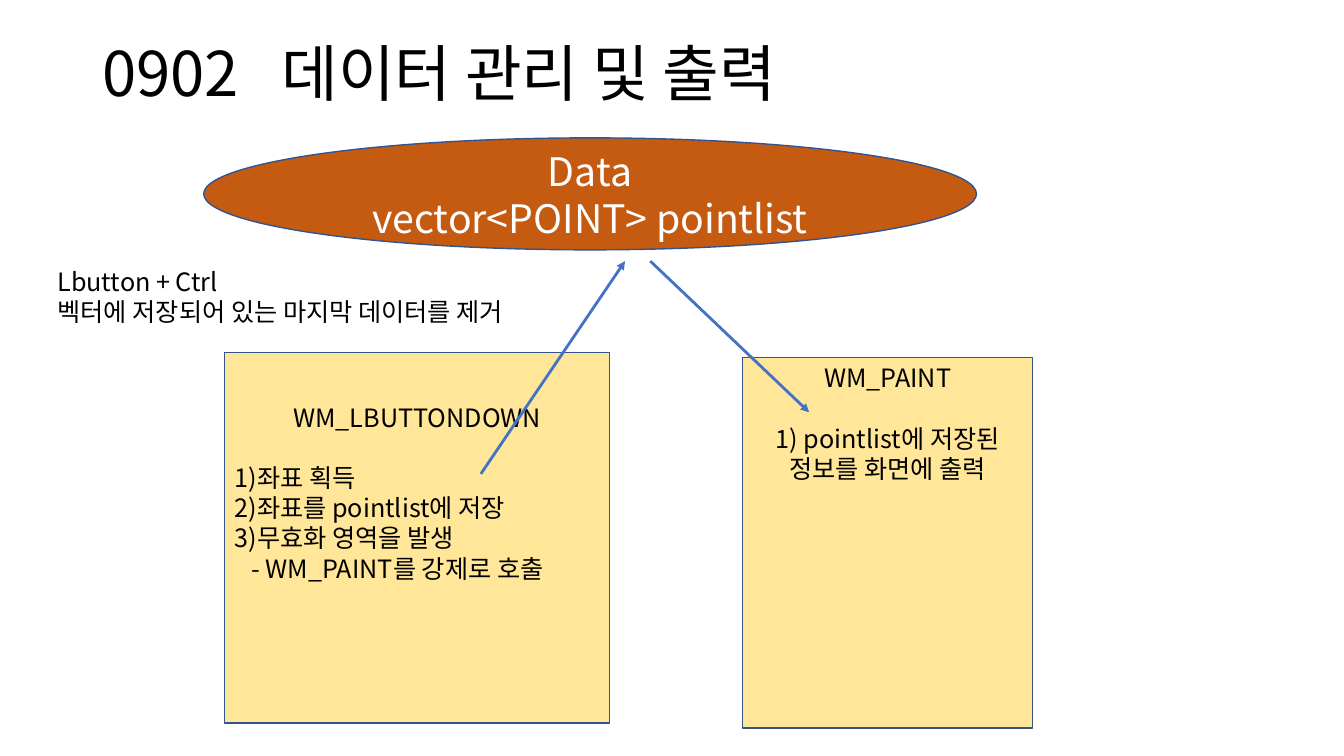
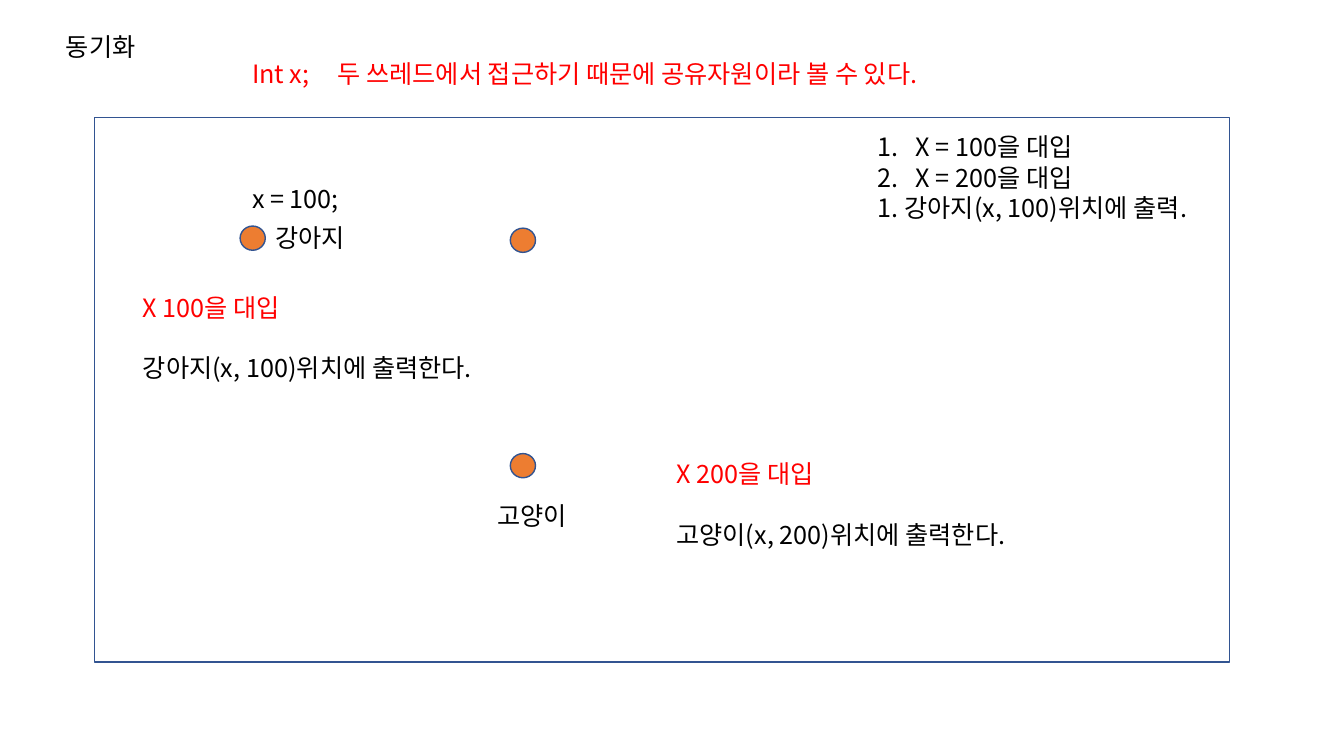
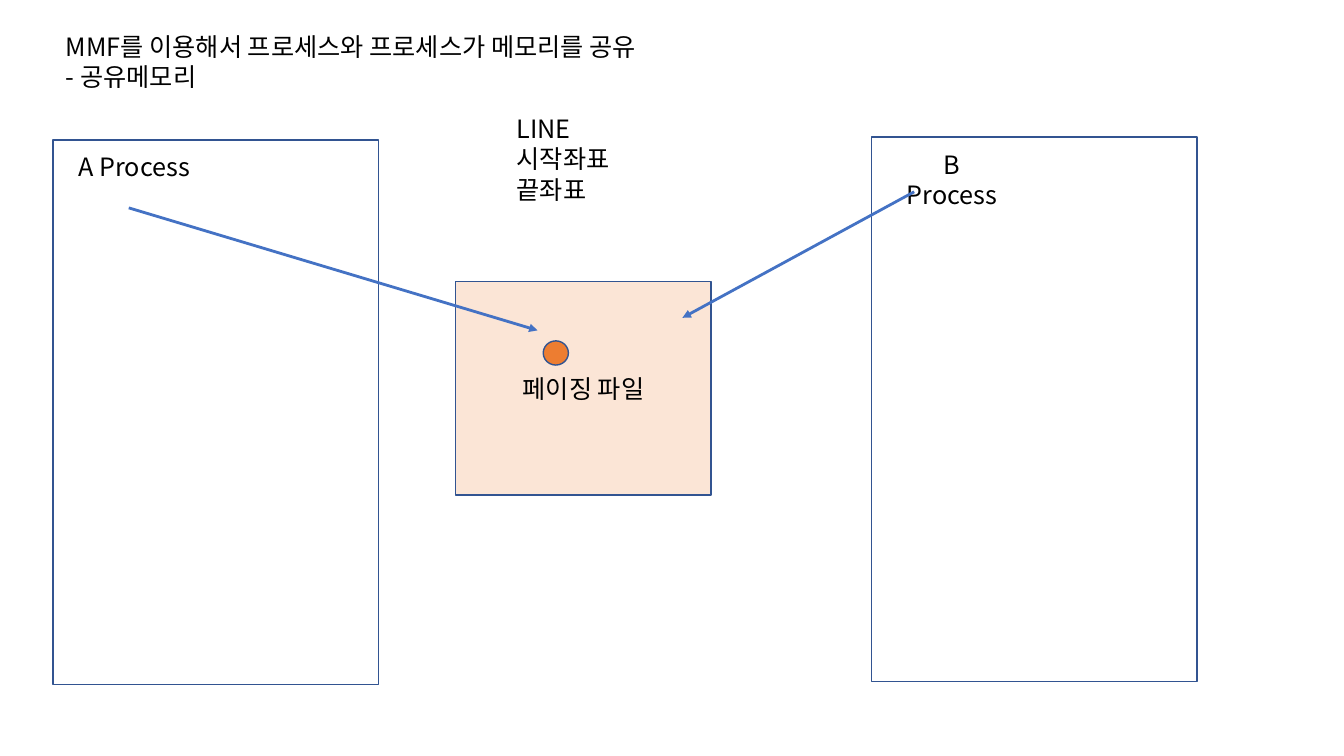
from dataclasses import dataclass

from lxml import etree
from pptx import Presentation
from pptx.dml.color import RGBColor
from pptx.enum.shapes import MSO_CONNECTOR, MSO_SHAPE
from pptx.enum.text import MSO_ANCHOR, PP_ALIGN
from pptx.oxml.ns import qn
from pptx.util import Pt

RECTANGLE = MSO_SHAPE.RECTANGLE
OVAL = MSO_SHAPE.OVAL
STRAIGHT = MSO_CONNECTOR.STRAIGHT
TOP = MSO_ANCHOR.TOP
MIDDLE = MSO_ANCHOR.MIDDLE
LEFT = PP_ALIGN.LEFT
CENTER = PP_ALIGN.CENTER


@dataclass(frozen=True)
class Theme:
    font: str = "Noto Sans CJK KR"
    black: str = "000000"
    white: str = "FFFFFF"
    red: str = "FF0000"
    outline: str = "325491"
    arrow: str = "4472C4"
    yellow: str = "FFE699"
    rust: str = "C55A11"
    orange: str = "ED7D31"
    peach: str = "FBE5D6"
    title: float = 44
    large: float = 28
    body: float = 18
    line_height: float = 1.2
    outline_width: float = 1
    arrow_width: float = 2
    blank_line: float = 21.6
    number_indent: float = 27


THEME = Theme()


@dataclass(frozen=True)
class Line:
    text: str
    color: str = THEME.black
    size: float = THEME.body
    align: PP_ALIGN = LEFT
    after: float = 0
    indent: float = 0
    tab: float = 0
    numbered: bool = False


def rgb(color):
    return RGBColor.from_string(color)


def add_run(paragraph, line):
    run = paragraph.add_run()
    run.text = line.text
    run.font.size = Pt(line.size)
    run.font.color.rgb = rgb(line.color)
    run.font.name = THEME.font
    properties = run.font._element
    etree.SubElement(properties, qn("a:ea"), typeface=THEME.font)


def format_paragraph(paragraph, line):
    paragraph.alignment = line.align
    paragraph.line_spacing = Pt(line.size * THEME.line_height)
    if line.after:
        paragraph.space_after = Pt(line.after)
    properties = paragraph._p.get_or_add_pPr()
    if line.indent:
        properties.set("marL", str(Pt(line.indent)))
    if line.numbered:
        properties.set("marL", str(Pt(THEME.number_indent)))
        properties.set("indent", str(-Pt(THEME.number_indent)))
        etree.SubElement(properties, qn("a:buFont"), typeface=THEME.font)
        etree.SubElement(properties, qn("a:buAutoNum"), type="arabicPeriod")
    if line.tab:
        tabs = etree.SubElement(properties, qn("a:tabLst"))
        etree.SubElement(tabs, qn("a:tab"), pos=str(Pt(line.tab)), algn="l")


def write_lines(frame, lines, anchor):
    frame.word_wrap = True
    frame.vertical_anchor = anchor
    for index, line in enumerate(lines):
        paragraph = frame.add_paragraph() if index else frame.paragraphs[0]
        format_paragraph(paragraph, line)
        add_run(paragraph, line)


def add_text(slide, left, top, width, height, *lines, anchor=TOP):
    box = slide.shapes.add_textbox(Pt(left), Pt(top), Pt(width), Pt(height))
    write_lines(box.text_frame, lines, anchor)


def add_panel(slide, left, top, width, height, *lines,
              kind=RECTANGLE, fill=None, anchor=MIDDLE, inset=3.6):
    shape = slide.shapes.add_shape(kind, Pt(left), Pt(top), Pt(width), Pt(height))
    shape.shadow.inherit = False
    if fill:
        shape.fill.solid()
        shape.fill.fore_color.rgb = rgb(fill)
    else:
        shape.fill.background()
    shape.line.color.rgb = rgb(THEME.outline)
    shape.line.width = Pt(THEME.outline_width)
    shape.text_frame.margin_top = Pt(inset)
    write_lines(shape.text_frame, lines, anchor)


def add_dot(slide, left, top):
    add_panel(slide, left, top, 18, 17.3, kind=OVAL, fill=THEME.orange)


def add_arrow(slide, start, end):
    arrow = slide.shapes.add_connector(
        STRAIGHT, Pt(start[0]), Pt(start[1]), Pt(end[0]), Pt(end[1]))
    arrow.line.color.rgb = rgb(THEME.arrow)
    arrow.line.width = Pt(THEME.arrow_width)
    etree.SubElement(arrow.line._get_or_add_ln(), qn("a:tailEnd"), type="triangle")
    etree.SubElement(arrow._element.spPr, qn("a:effectLst"))


def add_steps(slide, left, top, assignment, output):
    add_text(slide, left, top, 287, 73,
             Line(assignment, color=THEME.red, after=THEME.blank_line),
             Line(output))


def build_data_flow(slide):
    add_text(slide, 66, 29, 828, 44,
             Line("0902\t데이터 관리 및 출력", size=THEME.title, tab=128),
             anchor=MIDDLE)
    add_panel(slide, 160.5, 252, 275, 264.5,
              Line("WM_LBUTTONDOWN", align=CENTER, after=THEME.blank_line),
              Line("1)좌표 획득"),
              Line("2)좌표를 pointlist에 저장"),
              Line("3)무효화 영역을 발생"),
              Line("- WM_PAINT를 강제로 호출", indent=12),
              fill=THEME.yellow, anchor=TOP, inset=35)
    add_panel(slide, 530.5, 255.5, 207, 264.5,
              Line("WM_PAINT", align=CENTER, after=THEME.blank_line),
              Line("1) pointlist에 저장된 정보를 화면에 출력", align=CENTER),
              fill=THEME.yellow, anchor=TOP)
    data_style = {"color": THEME.white, "size": THEME.large, "align": CENTER}
    add_panel(slide, 145.5, 98.5, 552, 80,
              Line("Data", **data_style),
              Line("vector<POINT> pointlist", **data_style),
              kind=OVAL, fill=THEME.rust)
    add_arrow(slide, (343.5, 338.5), (446.5, 186.5))
    add_arrow(slide, (464.5, 186.5), (578, 294.5))
    add_text(slide, 34, 186.5, 374, 51,
             Line("Lbutton + Ctrl"),
             Line("벡터에 저장되어 있는 마지막 데이터를 제거"))


def build_synchronization(slide):
    add_text(slide, 40, 19, 69, 29, Line("동기화"))
    add_panel(slide, 67.5, 84, 811, 389)
    add_text(slide, 173, 38, 554, 29,
             Line("Int x;\t두 쓰레드에서 접근하기 때문에 공유자원이라 볼 수 있다.",
                  color=THEME.red, tab=61))
    add_text(slide, 173, 127.5, 87, 29, Line("x = 100;"))
    add_text(slide, 189.5, 155.5, 69, 29, Line("강아지"))
    add_text(slide, 348, 354, 69, 29, Line("고양이"))
    add_steps(slide, 95, 205, "X 100을 대입", "강아지(x, 100)위치에 출력한다.")
    add_steps(slide, 476, 324, "X 200을 대입", "고양이(x, 200)위치에 출력한다.")
    add_text(slide, 620, 90.5, 278, 73,
             Line("X = 100을 대입", numbered=True),
             Line("X = 200을 대입", numbered=True),
             Line("1. 강아지(x, 100)위치에 출력."))
    for left, top in ((171.5, 161.5), (364.5, 324), (364.5, 163)):
        add_dot(slide, left, top)


def build_shared_memory(slide):
    add_text(slide, 40, 19, 471, 51,
             Line("MMF를 이용해서 프로세스와 프로세스가 메모리를 공유"),
             Line("- 공유메모리"))
    add_panel(slide, 38, 100, 232.5, 389)
    add_panel(slide, 325.5, 201, 182.5, 152.5,
              Line("페이징 파일", align=CENTER), fill=THEME.peach)
    add_text(slide, 49, 104.5, 110, 29, Line("A Process"))
    add_panel(slide, 622.5, 98, 232.5, 389)
    add_text(slide, 637, 103, 86, 51, Line("B Process", align=CENTER))
    add_arrow(slide, (92, 148.5), (384, 236))
    add_arrow(slide, (653, 137), (487.5, 227))
    add_dot(slide, 388, 243.5)
    add_text(slide, 362, 77.5, 87, 73,
             Line("LINE"), Line("시작좌표"), Line("끝좌표"))


def main():
    presentation = Presentation()
    presentation.slide_width = Pt(960)
    presentation.slide_height = Pt(540)
    blank_layout = presentation.slide_layouts[6]
    for build in (build_data_flow, build_synchronization, build_shared_memory):
        build(presentation.slides.add_slide(blank_layout))
    presentation.save("out.pptx")


if __name__ == "__main__":
    main()
